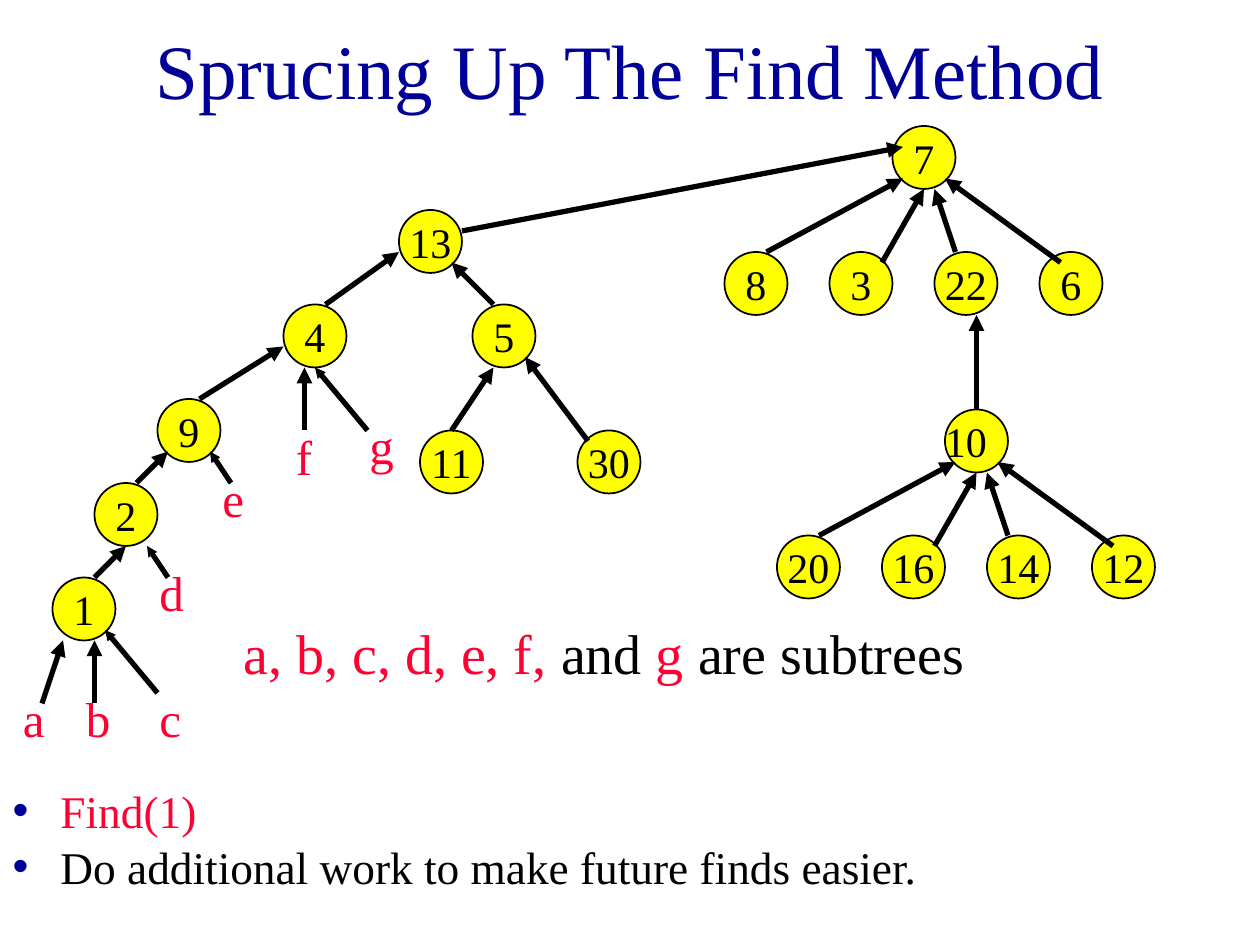
from lxml import etree
from pptx import Presentation
from pptx.dml.color import RGBColor
from pptx.enum.shapes import MSO_CONNECTOR, MSO_SHAPE
from pptx.enum.text import MSO_ANCHOR, MSO_AUTO_SIZE, PP_ALIGN
from pptx.oxml.ns import qn
from pptx.util import Inches, Pt

OVAL = MSO_SHAPE.OVAL
STRAIGHT = MSO_CONNECTOR.STRAIGHT
MIDDLE = MSO_ANCHOR.MIDDLE
NO_FIT = MSO_AUTO_SIZE.NONE
CENTER = PP_ALIGN.CENTER
LEFT = PP_ALIGN.LEFT

COLORS = {name: RGBColor.from_string(value) for name, value in {
    "title": "000099", "accent": "FF0033", "ink": "000000", "node": "FFFF00"}.items()}

prs = Presentation()
prs.slide_width, prs.slide_height = Inches(10), Inches(7.5)
CELL = prs.slide_width // 120
slide = prs.slides.add_slide(prs.slide_layouts[1])


def place(shape, column, row, columns, rows):
    shape.left, shape.top = column * CELL, row * CELL
    shape.width, shape.height = columns * CELL, rows * CELL


def style(font, size, color):
    font.name, font.size, font.color.rgb = "Times New Roman", Pt(size), COLORS[color]


title = slide.shapes.title
place(title, 9, 2, 102, 9)
title.text_frame.text = "Sprucing Up The Find Method"
title.text_frame.auto_size = NO_FIT
title.text_frame.vertical_anchor = MIDDLE
title.text_frame.paragraphs[0].alignment = CENTER
style(title.text_frame.paragraphs[0].font, 44, "title")

steps = slide.placeholders[1]
place(steps, 0, 75, 120, 11)
steps.text_frame.text = "Find(1)\nDo additional work to make future finds easier."
steps.text_frame.auto_size = NO_FIT
for step, color, gap in zip(steps.text_frame.paragraphs, ("accent", "ink"), (0, 7)):
    step.line_spacing = 0.8
    step.space_before = Pt(gap)
    properties = step._p.get_or_add_pPr()
    properties.set("marL", str(Inches(0.38)))
    properties.set("indent", str(-Inches(0.38)))
    bullet_color = etree.SubElement(properties, qn("a:buClr"))
    etree.SubElement(bullet_color, qn("a:srgbClr"), val=str(COLORS["title"]))
    etree.SubElement(properties, qn("a:buChar"), char="•")
    style(step.font, 25.9, color)

nodes = [("13", 38, 20), ("4", 27, 29), ("5", 45, 29), ("9", 15, 38), ("2", 9, 46),
         ("1", 5, 55), ("11", 40, 41), ("30", 55, 41)]
edges = [(31, 29, 38, 24), (19, 38, 27, 33), (47, 29, 43, 25), (13, 46, 16, 43),
         (9, 55, 12, 52), (43, 41, 47, 35), (56, 42, 50, 34), (93, 39, 93, 30),
         (44, 22, 86, 14), (4, 67, 6, 61), (9, 67, 9, 61), (29, 41, 29, 35)]
small_edges = [(15, 66, 10, 60), (16, 55, 14, 52), (22, 46, 20, 43), (35, 41, 30, 35)]

fan_edges = [(-12, 12, 1, 5), (-1, 13, 3, 6), (6, 12, 4, 6), (16, 13, 5, 5)]
for root, column, row, children in [("7", 85, 12, ("8", "3", "22", "6")),
                                    ("10", 90, 39, ("20", "16", "14", "12"))]:
    nodes.append((root, column, row))
    for i, child in enumerate(children):
        nodes.append((child, column - 16 + 10 * i, row + 12))
    for x1, y1, x2, y2 in fan_edges:
        edges.append((column + x1, row + y1, column + x2, row + y2))

for label, column, row in nodes:
    node = slide.shapes.add_shape(OVAL, column * CELL, row * CELL, 6 * CELL, 6 * CELL)
    node.shadow.inherit = False
    node.fill.solid()
    node.fill.fore_color.rgb = COLORS["node"]
    node.line.color.rgb = COLORS["ink"]
    node.line.width = Pt(1)
    frame = node.text_frame
    frame.margin_left = frame.margin_top = frame.margin_bottom = 0
    frame.margin_right = 2 * CELL if label == "10" else 0
    frame.word_wrap = False
    frame.vertical_anchor = MIDDLE
    frame.text = label
    frame.paragraphs[0].alignment = CENTER
    style(frame.paragraphs[0].font, 24, "ink")

for group, head_size in ((edges, "med"), (small_edges, "sm")):
    for ends in group:
        edge = slide.shapes.add_connector(STRAIGHT, *(end * CELL for end in ends))
        edge.line.color.rgb = COLORS["ink"]
        edge.line.width = Pt(3)
        etree.SubElement(edge.line._get_or_add_ln(), qn("a:tailEnd"),
                         type="triangle", w=head_size, len=head_size)
        etree.SubElement(edge._element.spPr, qn("a:effectLst"))

for letter, column, row in [("a", 1, 65), ("b", 7, 65), ("c", 14, 65), ("d", 14, 53),
                            ("e", 20, 44), ("f", 27, 40), ("g", 34, 39)]:
    subtree = slide.shapes.add_textbox(column * CELL, row * CELL, 7 * CELL, 7 * CELL)
    subtree.text_frame.word_wrap = True
    subtree.text_frame.text = letter
    style(subtree.text_frame.paragraphs[0].font, 28, "accent")

legend = slide.shapes.add_textbox(22 * CELL, 59 * CELL, 82 * CELL, 16 * CELL)
legend.text_frame.word_wrap = True
sentence = legend.text_frame.paragraphs[0]
sentence.alignment = LEFT
sentence.line_spacing = 0.9
for words, color in [("a, b, c, d, e, f,", "accent"), (" and ", "ink"),
                     ("g", "accent"), (" are subtrees", "ink")]:
    run = sentence.add_run()
    run.text = words
    style(run.font, 32, color)

prs.save("out.pptx")
